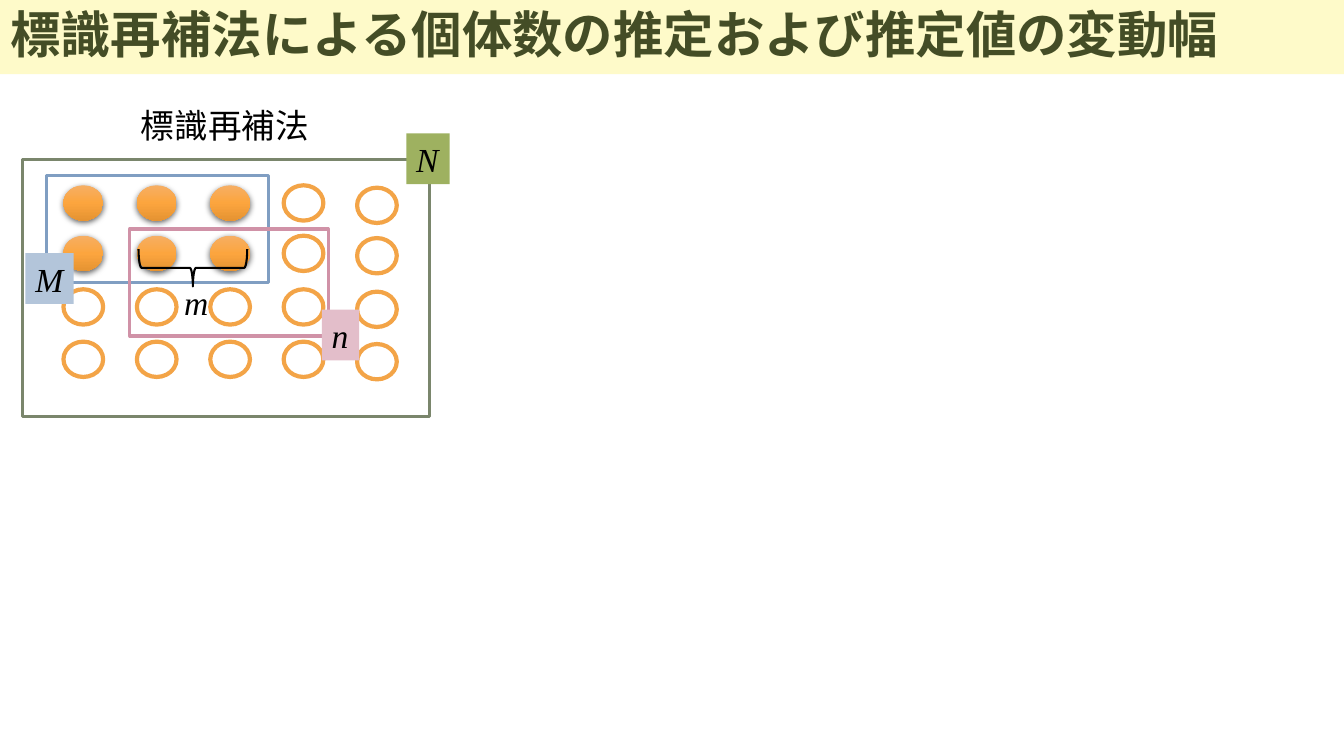
from lxml import etree
from pptx import Presentation
from pptx.dml.color import RGBColor
from pptx.enum.shapes import MSO_SHAPE
from pptx.enum.text import MSO_ANCHOR, MSO_AUTO_SIZE, PP_ALIGN
from pptx.oxml import parse_xml
from pptx.oxml.ns import qn
from pptx.util import Cm, Pt

RECTANGLE = MSO_SHAPE.RECTANGLE
ELLIPSE = MSO_SHAPE.OVAL
BRACE = MSO_SHAPE.RIGHT_BRACE
MIDDLE = MSO_ANCHOR.MIDDLE
LEFT = PP_ALIGN.LEFT
FIT_SHAPE = MSO_AUTO_SIZE.SHAPE_TO_FIT_TEXT
NO_FIT = MSO_AUTO_SIZE.NONE

TITLE_ONLY = 5
JAPANESE = "Noto Sans CJK JP"
SYMBOL = "Times New Roman"
BLACK = "000000"
DRAWING = "http://schemas.openxmlformats.org/drawingml/2006/main"

CIRCLE_ROWS = (4.67, 5.94, 7.29, 8.61)
CIRCLE_COLUMNS = 5
MARKED_ROWS, MARKED_COLUMNS = 2, 3

MARKED_FILL = f"""<a:gradFill xmlns:a="{DRAWING}" rotWithShape="1"><a:gsLst>
<a:gs pos="0"><a:srgbClr val="F6AE64"/></a:gs>
<a:gs pos="50000"><a:srgbClr val="FCA53E"/></a:gs>
<a:gs pos="100000"><a:srgbClr val="E59332"/></a:gs>
</a:gsLst><a:lin ang="5400000" scaled="0"/></a:gradFill>"""
MARKED_SHADOW = f"""<a:effectLst xmlns:a="{DRAWING}">
<a:outerShdw blurRad="57150" dist="19050" dir="5400000" algn="ctr" rotWithShape="0">
<a:srgbClr val="000000"><a:alpha val="63000"/></a:srgbClr>
</a:outerShdw></a:effectLst>"""


def color(value):
    return RGBColor.from_string(value)


def add_run(paragraph, text, size, font_name, text_color, bold=False, italic=False):
    run = paragraph.add_run()
    run.text = text
    font = run.font
    font.size = Pt(size)
    font.name = font_name
    font.bold = bold
    font.italic = italic
    font.color.rgb = color(text_color)
    east_asian = etree.SubElement(run._r.get_or_add_rPr(), qn("a:ea"))
    east_asian.set("typeface", font_name)


def add_figure(slide, kind, box, fill=None, line=None, width=2.25):
    shape = slide.shapes.add_shape(kind, *map(Cm, box))
    if fill:
        shape.fill.solid()
        shape.fill.fore_color.rgb = color(fill)
    else:
        shape.fill.background()
    if line:
        shape.line.color.rgb = color(line)
        shape.line.width = Pt(width)
    else:
        shape.line.fill.background()
    shape.shadow.inherit = False
    return shape


def add_marked_circle(slide, box):
    shape = slide.shapes.add_shape(ELLIPSE, *map(Cm, box))
    properties = shape._element.spPr
    properties.append(parse_xml(MARKED_FILL))
    shape.line.fill.background()
    properties.append(parse_xml(MARKED_SHADOW))


def add_circles(slide):
    for row, top in enumerate(CIRCLE_ROWS):
        for column in range(CIRCLE_COLUMNS):
            drop = 0.06 if column == CIRCLE_COLUMNS - 1 else 0
            box = (1.6 + 1.85 * column, top + drop, 1, 0.89)
            if row < MARKED_ROWS and column < MARKED_COLUMNS:
                add_marked_circle(slide, box)
            else:
                add_figure(slide, ELLIPSE, box, "FFFFFF", "F3A447", 3)


def write_label(shape, text, font_name, italic):
    frame = shape.text_frame
    frame.word_wrap = False
    frame.auto_size = FIT_SHAPE
    paragraph = frame.paragraphs[0]
    paragraph.alignment = LEFT
    add_run(paragraph, text, 24, font_name, BLACK, italic=italic)


def add_text(slide, box, text, font_name, italic=False):
    write_label(slide.shapes.add_textbox(*map(Cm, box)), text, font_name, italic)


def add_tag(slide, box, text, fill):
    write_label(add_figure(slide, RECTANGLE, box, fill), text, SYMBOL, True)


def format_title(slide, text):
    title = slide.shapes.title
    title.left, title.top, title.width, title.height = Cm(0), Cm(0), Cm(33.87), Cm(1.87)
    title.fill.solid()
    title.fill.fore_color.rgb = color("FEFAC9")
    frame = title.text_frame
    frame.word_wrap = True
    frame.auto_size = NO_FIT
    frame.vertical_anchor = MIDDLE
    paragraph = frame.paragraphs[0]
    paragraph.alignment = LEFT
    paragraph.line_spacing = 0.9
    add_run(paragraph, text, 36, JAPANESE, "444D26", bold=True)


def main():
    presentation = Presentation()
    presentation.slide_width = Cm(33.87)
    presentation.slide_height = Cm(19.05)
    slide = presentation.slides.add_slide(presentation.slide_layouts[TITLE_ONLY])
    format_title(slide, "標識再補法による個体数の推定および推定値の変動幅")

    add_circles(slide)
    add_figure(slide, RECTANGLE, (0.57, 4.01, 10.25, 6.48), line="7A866C")
    add_figure(slide, RECTANGLE, (1.17, 4.42, 5.59, 2.7), line="809EC2")
    add_figure(slide, RECTANGLE, (3.27, 5.77, 5, 2.7), line="D092A7")

    add_text(slide, (3.3, 2.52, 4.78, 1.28), "標識再補法", JAPANESE)
    add_tag(slide, (10.24, 3.36, 1.09, 1.28), "N", "9EB160")
    add_tag(slide, (0.64, 6.38, 1.22, 1.28), "M", "B3C5DA")
    add_tag(slide, (8.11, 7.8, 0.94, 1.28), "n", "E3BECA")

    brace = add_figure(slide, BRACE, (4.39, 5.38, 0.94, 2.74), line=BLACK, width=1.5)
    brace.rotation = 90
    add_text(slide, (4.39, 6.98, 1.14, 1.28), "m", SYMBOL, italic=True)
    presentation.save("out.pptx")


if __name__ == "__main__":
    main()
